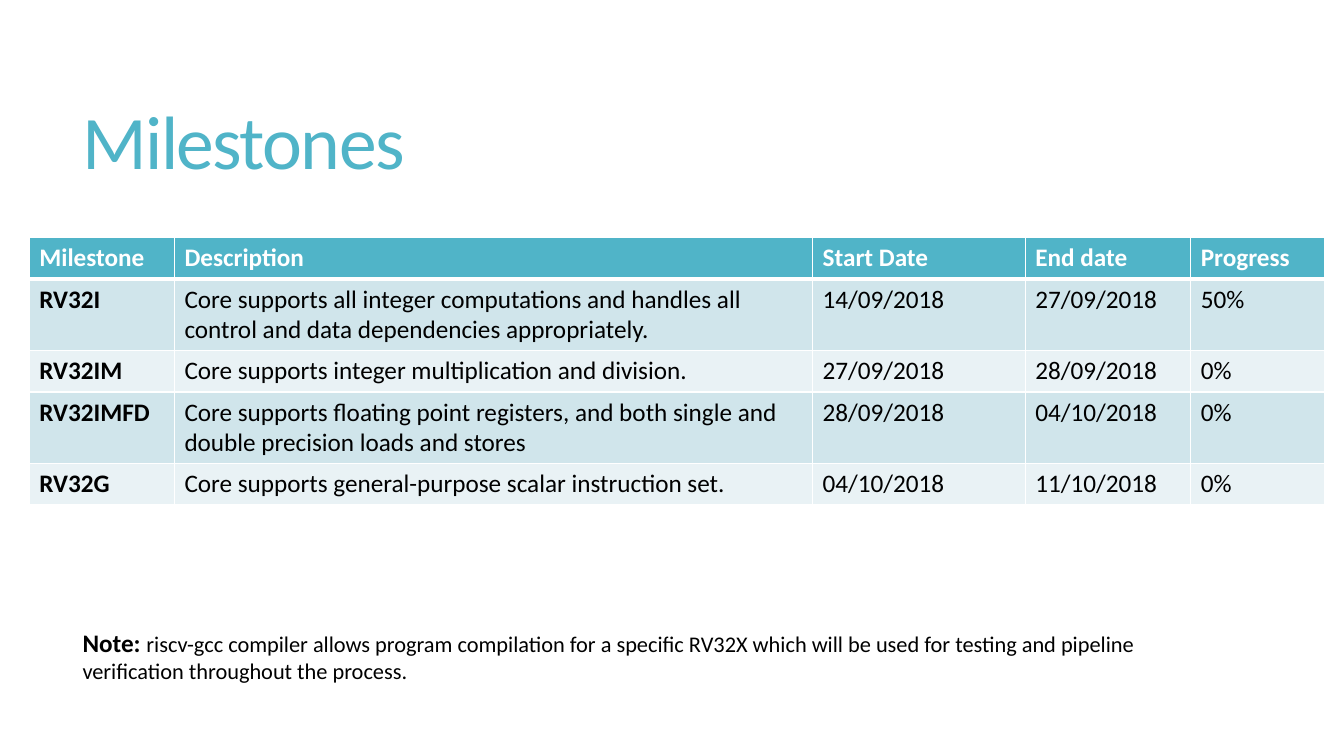
import pptx
import pptx.util
import pptx.dml.color
import pptx.enum.text
from lxml import etree

Inches, Pt = pptx.util.Inches, pptx.util.Pt

# Content
TITLE = "Milestones"
MILESTONES = [
    ("Milestone", "Description", "Start Date", "End date", "Progress"),
    ("RV32I", "Core supports all integer computations and handles all control "
     "and data dependencies appropriately.\u00a0", "14/09/2018", "27/09/2018", "50%"),
    ("RV32IM", "Core supports integer multiplication and division.",
     "27/09/2018", "28/09/2018", "0%"),
    ("RV32IMFD", "Core supports floating point registers, and both single and "
     "double precision loads and stores", "28/09/2018", "04/10/2018", "0%"),
    ("RV32G", "Core supports general-purpose scalar instruction set.",
     "04/10/2018", "11/10/2018", "0%"),
]
NOTE_LABEL = "Note: "
NOTE = ("riscv-gcc compiler allows program compilation for a specific RV32X which "
        "will be used for testing and pipeline verification throughout\u00a0the process.\u00a0")

# Layout and colours
COLUMN_WIDTHS = (1.44, 6.33, 2.11, 1.64, 1.33)
ROW_HEIGHTS = (0.41, 0.71, 0.41, 0.71, 0.41)
TEAL, WHITE, BLACK = "50B4C8", "FFFFFF", "000000"
BANDS = ("E9F2F5", "D0E5EB")


def color(hex_value):
    return pptx.dml.color.RGBColor.from_string(hex_value)


def add_run(paragraph, text, hex_value, **formats):
    run = paragraph.add_run()
    run.text = text
    run.font.color.rgb = color(hex_value)
    for name, value in {"name": "Calibri", "size": Pt(18), "bold": False, **formats}.items():
        setattr(run.font, name, value)
    return run


def add_text(left, top, width, height, **formats):
    frame = slide.shapes.add_textbox(*map(Inches, (left, top, width, height))).text_frame
    for name, value in {"word_wrap": True, **formats}.items():
        setattr(frame, name, value)
    return frame.paragraphs[0]


def set_borders(cell, widths):
    """Insert white borders ahead of the cell's fill, in schema order."""
    properties = cell._tc.get_or_add_tcPr()
    for position, (side, width) in enumerate(widths.items()):
        line = etree.Element(pptx.oxml.ns.qn("a:ln" + side), w=str(Pt(width)))
        fill = etree.SubElement(line, pptx.oxml.ns.qn("a:solidFill"))
        etree.SubElement(fill, pptx.oxml.ns.qn("a:srgbClr"), val=WHITE)
        properties.insert(position, line)


presentation = pptx.Presentation()
presentation.slide_width, presentation.slide_height = Inches(13.33), Inches(7.5)
slide = presentation.slides.add_slide(presentation.slide_layouts[6])

# Title
heading = add_text(0.72, 0.55, 11.78, 1.81,
                   vertical_anchor=pptx.enum.text.MSO_ANCHOR.MIDDLE)
heading.line_spacing = 0.85
title_run = add_run(heading, TITLE, TEAL, size=Pt(54))
title_run.font._element.set("spc", "-120")

# Milestone table
schedule = slide.shapes.add_table(
    len(MILESTONES), len(COLUMN_WIDTHS), Inches(0.29), Inches(2.36),
    Inches(sum(COLUMN_WIDTHS)), Inches(sum(ROW_HEIGHTS))).table
for column, width in zip(schedule.columns, COLUMN_WIDTHS):
    column.width = Inches(width)
for r, (milestone, height) in enumerate(zip(MILESTONES, ROW_HEIGHTS)):
    schedule.rows[r].height = Inches(height)
    header = r == 0
    for c, text in enumerate(milestone):
        cell = schedule.cell(r, c)
        cell.fill.solid()
        cell.fill.fore_color.rgb = color(TEAL if header else BANDS[r % 2])
        set_borders(cell, {"L": 1, "R": 1, "T": 3 if r == 1 else 1, "B": 3 if header else 1})
        add_run(cell.text_frame.paragraphs[0], text, WHITE if header else BLACK,
                bold=header or c == 0)

# Note
note = add_text(0.72, 6.17, 11.21, 0.67)
add_run(note, NOTE_LABEL, BLACK, bold=True)
add_run(note, NOTE, BLACK, size=Pt(16))

presentation.save("out.pptx")
